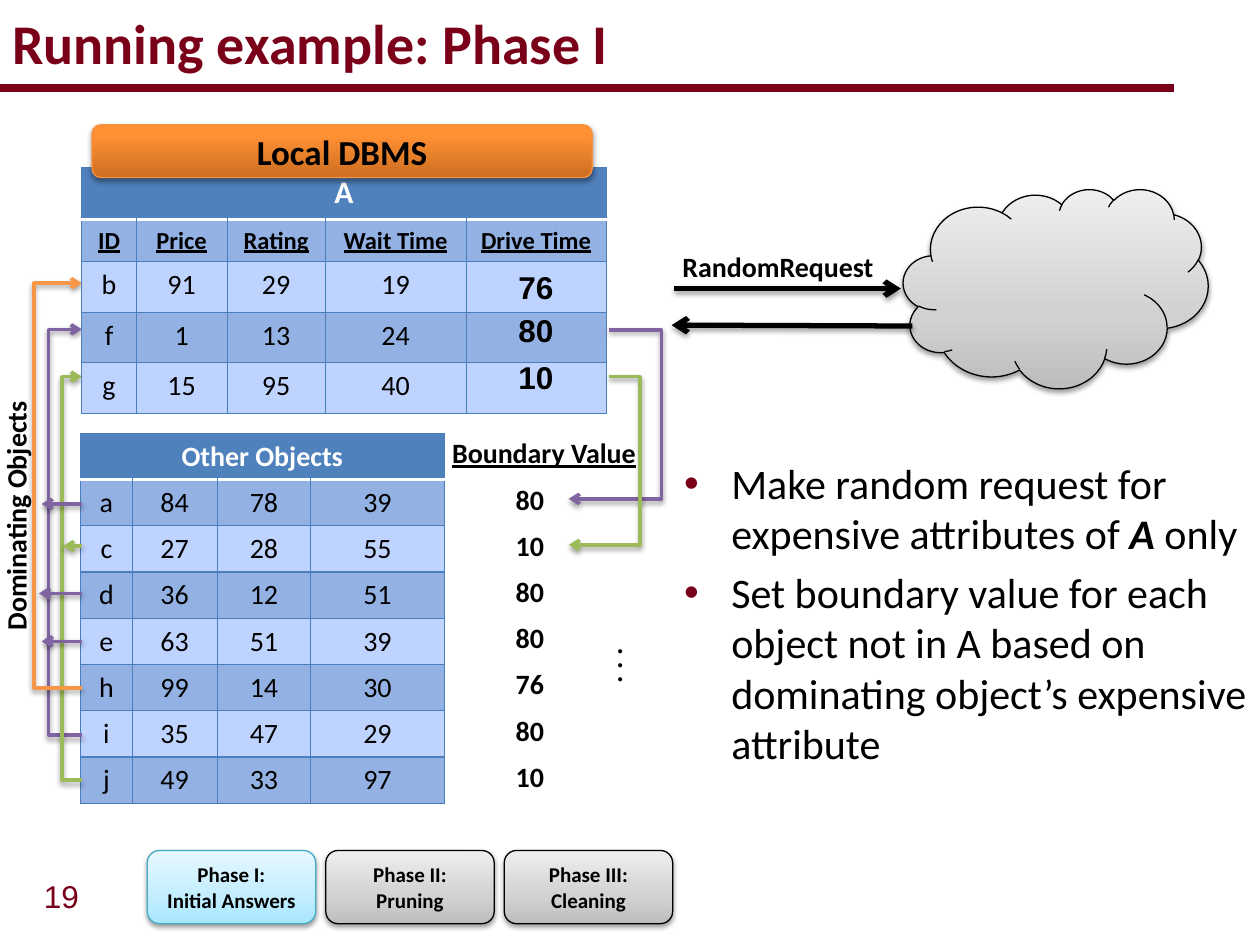
"""Build the "Running example: Phase I" slide."""
from lxml.etree import SubElement
from pptx import Presentation
from pptx.dml.color import RGBColor
from pptx.enum.shapes import MSO_CONNECTOR, MSO_SHAPE
from pptx.enum.text import MSO_ANCHOR, PP_ALIGN
from pptx.oxml.ns import qn
from pptx.util import Pt

MAROON, BLACK, WHITE = "7A0019", "000000", "FFFFFF"
PURPLE, GREEN, ORANGE = "8064A2", "9BBB59", "F79646"
HEAD, DARK, LIGHT, GRID = "4F81BD", "93B1E3", "BFD3FF", "4B7EBC"
GREY = [(0, "BDBDBD"), (35, "D1D1D1"), (100, "EEEEEE")]
CYAN = [(0, "A7E6FF"), (35, "C1EDFF"), (100, "E7F8FF")]
AMBER = [(0, "CC6E20"), (80, "FF9034"), (100, "FF9136")]

ANSWERS = [
    ["A", "", "", "", ""],
    ["ID", "Price", "Rating", "Wait Time", "Drive Time"],
    ["b", "91", "29", "19", ""],
    ["f", "1", "13", "24", ""],
    ["g", "15", "95", "40", ""],
]
OTHERS = [
    ["Other Objects", "", "", ""],
    ["a", "84", "78", "39"],
    ["c", "27", "28", "55"],
    ["d", "36", "12", "51"],
    ["e", "63", "51", "39"],
    ["h", "99", "14", "30"],
    ["i", "35", "47", "29"],
    ["j", "49", "33", "97"],
]
DRIVE_TIMES = [("76", 149.8), ("80", 174.2), ("10", 200.9)]
BOUNDARIES = ["80", "10", "80", "80", "76", "80", "10"]
PHASES = [
    ("Phase I:", "Initial Answers", CYAN, "46AAC5"),
    ("Phase II:", "Pruning", GREY, BLACK),
    ("Phase III:", "Cleaning", GREY, BLACK),
]
BULLETS = [
    [("Make random request for expensive attributes of ", False), ("A", True), (" only", False)],
    [("Set boundary value for each object not in A based on "
      "dominating object’s expensive attribute", False)],
]
LEFT_BRACKETS = [(420, 188.2, 27.7, PURPLE), (445.7, 215.3, 35.5, GREEN), (393.1, 161.9, 19.4, ORANGE)]
RIGHT_BRACKETS = [(188.6, 285.1, 378, PURPLE), (215.3, 311.4, 365.8, GREEN)]
DOMINATED = [(366.5, 23.8, PURPLE), (312.1, 36, GREEN), (288, 23.8, PURPLE), (339.1, 22.3, PURPLE)]
REQUESTS = [(385.2, 164.9, 514.8, 164.9), (521.3, 186.3, 383.8, 185.8)]

prs = Presentation()
prs.slide_width, prs.slide_height = Pt(720), Pt(540)
s = prs.slides.add_slide(prs.slide_layouts[6])


def rgb(color):
    return RGBColor.from_string(color)


def add_run(p, text, size, color=BLACK, bold=True, font="Calibri"):
    r = p.add_run()
    r.text = text
    r.font.size, r.font.bold, r.font.name = Pt(size), bold, font
    r.font.color.rgb = rgb(color)
    return r


def add_text(text, x, y, w, h, size, color=BLACK, bold=True, font="Calibri",
             align=PP_ALIGN.LEFT, rotation=0):
    sp = s.shapes.add_textbox(Pt(x), Pt(y), Pt(w), Pt(h))
    sp.rotation = rotation
    sp.text_frame.word_wrap = True
    p = sp.text_frame.paragraphs[0]
    p.alignment = align
    return sp, add_run(p, text, size, color, bold, font)


def solid(parent, color, alpha=None):
    clr = SubElement(parent, qn("a:srgbClr"), val=color)
    if alpha:
        SubElement(clr, qn("a:alpha"), val=str(alpha * 1000))


def add_shadow(sp):
    sp_pr = sp._element.spPr
    effects = sp_pr.find(qn("a:effectLst"))
    if effects is None:
        effects = SubElement(sp_pr, qn("a:effectLst"))
    shadow = SubElement(effects, qn("a:outerShdw"), blurRad=str(Pt(3.1)), dist=str(Pt(1.7)),
                        dir="5400000", rotWithShape="0")
    solid(shadow, BLACK, 38)


def add_gradient_shape(kind, x, y, w, h, stops, line):
    sp = s.shapes.add_shape(kind, Pt(x), Pt(y), Pt(w), Pt(h))
    sp.fill.background()
    sp.line.color.rgb, sp.line.width = rgb(line), Pt(0.75)
    sp.shadow.inherit = False
    add_shadow(sp)
    no_fill = sp._element.spPr.find(qn("a:noFill"))
    grad = no_fill.makeelement(qn("a:gradFill"), {"rotWithShape": "1"})
    no_fill.getparent().replace(no_fill, grad)
    stop_list = SubElement(grad, qn("a:gsLst"))
    for pos, color in stops:
        solid(SubElement(stop_list, qn("a:gs"), pos=str(pos * 1000)), color)
    SubElement(grad, qn("a:lin"), ang="16200000", scaled="0")
    return sp


def style_arrow(sp, color, width):
    sp.line.color.rgb, sp.line.width = rgb(color), Pt(width)
    SubElement(sp._element.spPr.find(qn("a:ln")), qn("a:tailEnd"), type="arrow")
    add_shadow(sp)


def add_line(x1, y1, x2, y2):
    return s.shapes.add_connector(MSO_CONNECTOR.STRAIGHT, Pt(x1), Pt(y1), Pt(x2), Pt(y2))


def add_bracket(x1, y1, via, x2, y2, color):
    builder = s.shapes.build_freeform(Pt(x1), Pt(y1))
    builder.add_line_segments([(Pt(x), Pt(y)) for x, y in [(via, y1), (via, y2), (x2, y2)]], close=False)
    sp = builder.convert_to_shape()
    sp.fill.background()
    sp.shadow.inherit = False
    style_arrow(sp, color, 2)


def add_grid(rows, x, y, widths, heights, head_size):
    frame = s.shapes.add_table(len(rows), len(widths), Pt(x), Pt(y), Pt(sum(widths)), Pt(sum(heights)))
    table = frame.table
    for col, width in zip(table.columns, widths):
        col.width = Pt(width)
    for i, (row, height) in enumerate(zip(rows, heights)):
        table.rows[i].height = Pt(height)
        for j, text in enumerate(row):
            cell = table.cell(i, j)
            tc_pr = cell._tc.get_or_add_tcPr()
            for side in "LRTB":
                white = (i, side) in [(0, "B"), (1, "T")]
                ln = SubElement(tc_pr, qn(f"a:ln{side}"), w=str(Pt(2 if white else 0.75)))
                solid(SubElement(ln, qn("a:solidFill")), WHITE if white else GRID)
            cell.fill.solid()
            cell.fill.fore_color.rgb = rgb(HEAD if i == 0 else DARK if i % 2 else LIGHT)
            p = cell.text_frame.paragraphs[0]
            p.alignment = PP_ALIGN.CENTER
            if not text:
                continue
            label = text in ANSWERS[1]
            size = head_size if i == 0 else 14 if label else 16
            r = add_run(p, text, size, WHITE if i == 0 else BLACK, i == 0 or label)
            r.font.underline = label
    table.cell(0, 0).merge(table.cell(0, len(widths) - 1))


add_text("19", 18, 497.5, 36.7, 28.8, 18, MAROON, False, "Arial")
rule = add_line(-0.7, 50.4, 671, 50.4)
rule.line.color.rgb, rule.line.width = rgb(MAROON), Pt(4.5)
SubElement(rule._element.spPr, qn("a:effectLst"))
title, _ = add_text("Running example: Phase I", 0, 0, 684, 48.2, 32, MAROON)
title.text_frame.vertical_anchor = MSO_ANCHOR.MIDDLE

add_grid(OTHERS, 46.1, 247.6, [29.4, 48.6, 53.5, 76.2], [26.4] * 8, 16)
for y1, y2, via, color in LEFT_BRACKETS:
    add_bracket(46.8, y1, via, 46.8, y2, color)
for y, x, color in DOMINATED:
    style_arrow(add_line(46.8, y, x, y), color, 2)
add_grid(ANSWERS, 46.8, 95.7, [31, 52, 56, 80.6, 80], [29.7, 24.2, 27, 27, 27], 18)

for i, (*lines, stops, line) in enumerate(PHASES):
    sp = add_gradient_shape(MSO_SHAPE.ROUNDED_RECTANGLE, 84.2 + 102 * i, 486, 96.2, 41.8, stops, line)
    tf = sp.text_frame
    tf.word_wrap = True
    for n, text in enumerate(lines):
        p = tf.add_paragraph() if n else tf.paragraphs[0]
        p.alignment = PP_ALIGN.CENTER
        add_run(p, text, 12)

body = s.shapes.add_textbox(Pt(383.8), Pt(257.8), Pt(336.2), Pt(182.9))
tf = body.text_frame
tf.word_wrap, tf.margin_right = True, Pt(4)
for i, runs in enumerate(BULLETS):
    p = tf.add_paragraph() if i else tf.paragraphs[0]
    p.space_before = Pt(4.8)
    p_pr = p._p.get_or_add_pPr()
    p_pr.set("marL", str(Pt(27)))
    p_pr.set("indent", str(-Pt(27)))
    solid(SubElement(p_pr, qn("a:buClr")), MAROON)
    SubElement(p_pr, qn("a:buFont"), typeface="Arial")
    SubElement(p_pr, qn("a:buChar"), char="•")
    for text, strong in runs:
        add_run(p, text, 24, bold=strong).font.italic = strong

add_gradient_shape(MSO_SHAPE.ROUNDED_RECTANGLE, 52.6, 71.3, 285.8, 30.2, AMBER, "F69240")
add_text("Local DBMS", 52.6, 71.3, 285.8, 31.5, 20, align=PP_ALIGN.CENTER)
add_text("Dominating Objects", -69.1, 281.5, 156.2, 26.6, 16, align=PP_ALIGN.CENTER, rotation=270)
add_gradient_shape(MSO_SHAPE.CLOUD, 516.2, 108, 174.2, 113.8, GREY, BLACK)
for ends in REQUESTS:
    style_arrow(add_line(*ends), BLACK, 3)
add_text("RandomRequest", 381.6, 139, 126, 26.6, 16, align=PP_ALIGN.CENTER)

for text, y in DRIVE_TIMES:
    add_text(text, 264.2, y, 84.2, 28.8, 18, font="Arial", align=PP_ALIGN.CENTER)
_, r = add_text("Boundary Value", 251.3, 245.5, 121.7, 26.6, 16)
r.font.underline = True
for i, text in enumerate(BOUNDARIES):
    add_text(text, 287.6, 272 + 26.4 * i, 37.4, 26.6, 16)
for y1, y2, via, color in RIGHT_BRACKETS:
    add_bracket(347.8, y1, via, 325, y2, color)
add_text(". . .", 283.7, 367.2, 131, 26.6, 16, align=PP_ALIGN.CENTER, rotation=270)

prs.save("out.pptx")
